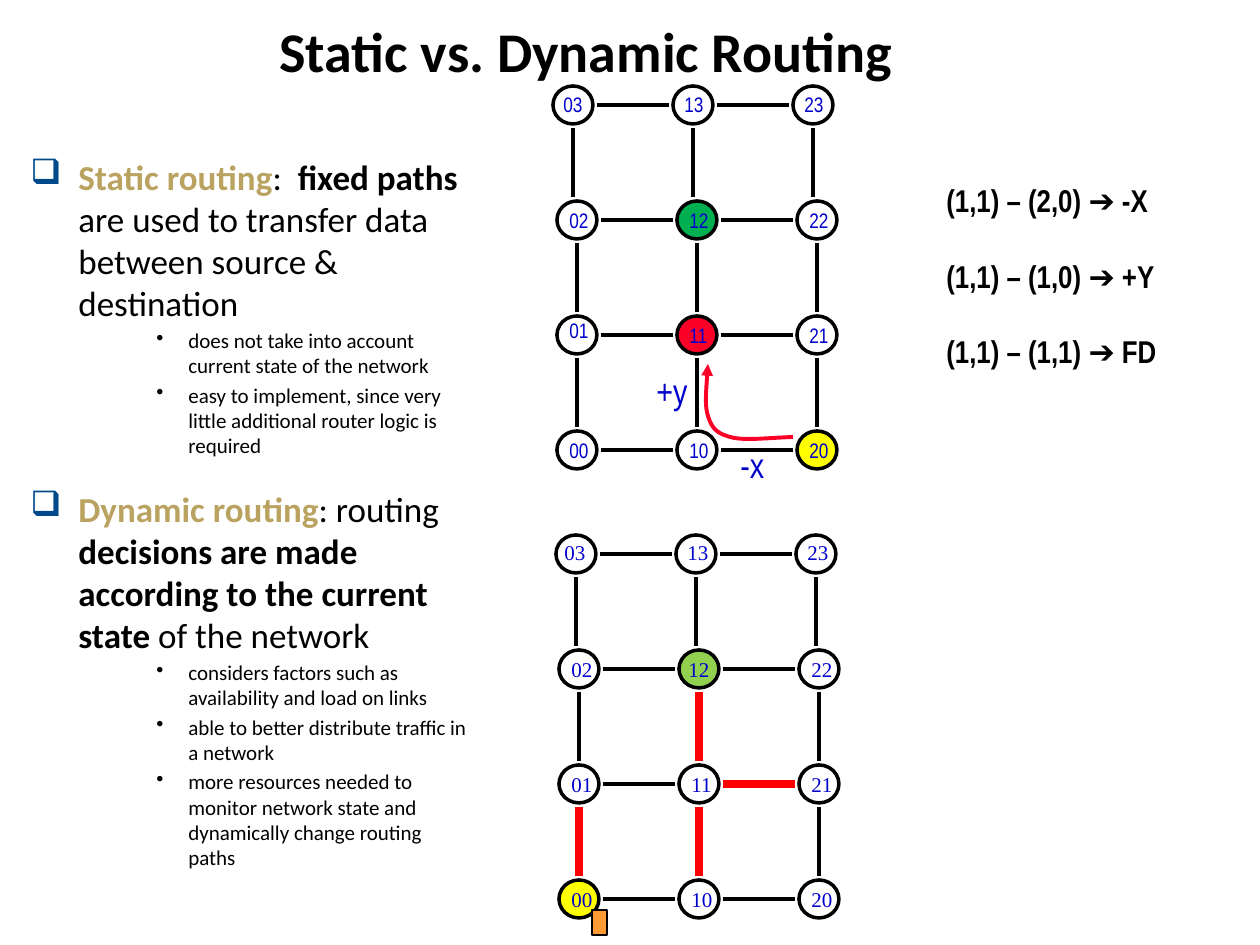
from dataclasses import dataclass
from lxml.etree import SubElement
from pptx import Presentation
from pptx.dml.color import RGBColor
from pptx.enum.shapes import MSO_CONNECTOR as Connector, MSO_SHAPE as Shape
from pptx.enum.text import MSO_AUTO_SIZE as AutoSize
from pptx.oxml.ns import qn
from pptx.util import Emu, Pt


@dataclass(frozen=True)
class Theme:
    black: str = "000000"
    white: str = "FFFFFF"
    gold: str = "BAA360"
    navy: str = "004A8C"
    blue: str = "0000CC"
    green: str = "00B050"
    lime: str = "92D050"
    crimson: str = "FC0128"
    red: str = "FF0000"
    yellow: str = "FFFF00"
    orange: str = "FF9933"
    sans: str = "Calibri"
    narrow: str = "Arial Narrow"
    serif: str = "Times New Roman"
    title: int = 32
    topic: int = 20
    answer: int = 18
    detail: int = 12


T = Theme()
PX = 914400 / 126

TITLE = "Static vs. Dynamic Routing"
TOPICS = [
    ([("Static routing", T.gold, True), (":  ", T.black, False),
      ("fixed paths ", T.black, True),
      ("are used to transfer data between source & destination", T.black, False)],
     ["does not take into account current state of the network",
      "easy to implement, since very little additional router logic is required"]),
    ([("Dynamic routing", T.gold, True), (": routing ", T.black, False),
      ("decisions are made according to the current state ", T.black, True),
      ("of the network", T.black, False)],
     ["considers factors such as availability and load on links",
      "able to better distribute traffic in a network",
      "more resources needed to monitor network state and dynamically change routing paths"]),
]
ANSWERS = ["(1,1) – (2,0) ➔ -X", "(1,1) – (1,0) ➔ +Y", "(1,1) – (1,1) ➔ FD"]
MOVES = [("-x", 728, 437, 54), ("+y", 644, 363, 63)]
MESHES = [
    dict(origin=(577, 450), top_shift=-4, font=T.narrow, label_width=49,
         fills={"12": T.green, "11": T.crimson, "20": T.yellow}, hot=[],
         nudges={"01": (0, -5), "03": (-2, -1), "13": (-1, -1), "23": (-1, -1)}),
    dict(origin=(579, 899), top_shift=-3, font=T.serif, label_width=47,
         fills={"12": T.lime, "22": T.white, "00": T.yellow},
         hot=[("11", "12"), ("11", "21"), ("00", "01"), ("10", "11")],
         nudges={"12": (-3, 0), "03": (-4, -2), "13": (-1, -2), "23": (-1, -2)}),
]
COLUMNS, ROWS = 3, 4
STEP_X, STEP_Y = 120, 115
NODE_W, NODE_H = 40, 38
GAP_X, GAP_Y = 24, 23
ROUTE_START = (793, 437)
ROUTE_CURVES = [
    ((767, 438), (743, 441), (730, 437)),
    ((716, 433), (712, 428), (708, 416)),
    ((704, 404), (707, 384), (708, 364)),
]
CURVE_STEPS = 12


def px(*values):
    return [Emu(round(value * PX)) for value in values]


def rgb(color):
    return RGBColor.from_string(color)


def style(font, face, size, color, bold=False):
    font.name, font.size, font.bold = face, Pt(size), bold
    font.color.rgb = rgb(color)


def add_text(shapes, box, lines, face, size, color, bold=False, wrap=False, gap=0):
    frame = shapes.add_textbox(*px(*box)).text_frame
    frame.word_wrap = wrap
    frame.auto_size = AutoSize.NONE if wrap else AutoSize.SHAPE_TO_FIT_TEXT
    frame.text = "\n".join(lines)
    for index, paragraph in enumerate(frame.paragraphs):
        if index and gap:
            paragraph.space_before = Pt(gap)
        for run in paragraph.runs:
            style(run.font, face, size, color, bold)


def set_bullet(paragraph, mark, color, left, hang):
    props = paragraph._p.get_or_add_pPr()
    props.set("marL", str(px(left)[0]))
    props.set("indent", str(px(-hang)[0]))
    tint = SubElement(props, qn("a:buClr"))
    SubElement(tint, qn("a:srgbClr"), val=color)
    SubElement(props, qn("a:buChar"), char=mark)


def add_topics(shapes):
    frame = shapes.add_textbox(*px(18, 149, 465, 703)).text_frame
    frame.word_wrap = True
    for index, (lead, details) in enumerate(TOPICS):
        heading = frame.add_paragraph() if index else frame.paragraphs[0]
        set_bullet(heading, "❑", T.navy, 48, 48)
        if index:
            heading.space_before = Pt(17)
        for words, color, bold in lead:
            run = heading.add_run()
            run.text = words
            style(run.font, T.sans, T.topic, color, bold)
        for detail in details:
            point = frame.add_paragraph()
            point.text = detail
            set_bullet(point, "•", T.black, 158, 32)
            point.space_before = Pt(2.4)
            style(point.runs[0].font, T.sans, T.detail, T.black)


def add_block(shapes, kind, box, fill, width):
    block = shapes.add_shape(kind, *px(*box))
    block.shadow.inherit = False
    if fill:
        block.fill.solid()
        block.fill.fore_color.rgb = rgb(fill)
    else:
        block.fill.background()
    block.line.color.rgb = rgb(T.black)
    block.line.width = Pt(width)


def add_link(shapes, start, end, hot):
    link = shapes.add_connector(Connector.STRAIGHT, *px(*start, *end))
    link.line.color.rgb = rgb(T.red if hot else T.black)
    link.line.width = Pt(5 if hot else 2)
    SubElement(link._element.spPr, qn("a:effectLst"))


def add_mesh(shapes, mesh):
    left, bottom = mesh["origin"]
    for column in range(COLUMNS):
        for row in range(ROWS):
            name = f"{column}{row}"
            x = left + column * STEP_X + (mesh["top_shift"] if row == ROWS - 1 else 0)
            y = bottom - row * STEP_Y
            if column < COLUMNS - 1:
                hot = (name, f"{column + 1}{row}") in mesh["hot"]
                add_link(shapes, (x + GAP_X, y), (x + STEP_X - GAP_X, y), hot)
            if row:
                hot = (f"{column}{row - 1}", name) in mesh["hot"]
                add_link(shapes, (x, y + GAP_Y), (x, y + STEP_Y - GAP_Y), hot)
            corner_x, corner_y = x - NODE_W // 2, y - NODE_H // 2
            add_block(shapes, Shape.OVAL, (corner_x, corner_y, NODE_W, NODE_H),
                      mesh["fills"].get(name), 2)
            dx, dy = mesh["nudges"].get(name, (0, 0))
            add_text(shapes, (corner_x + dx, corner_y + dy, mesh["label_width"], NODE_H),
                     [name], mesh["font"], T.detail, T.blue)


def curve_points(start, first, second, end):
    for step in range(1, CURVE_STEPS + 1):
        t = step / CURVE_STEPS
        weights = ((1 - t) ** 3, 3 * t * (1 - t) ** 2, 3 * t * t * (1 - t), t ** 3)
        yield tuple(px(*(sum(w * p[axis] for w, p in zip(weights, (start, first, second, end)))
                         for axis in (0, 1))))


def add_route(shapes):
    points, start = [], ROUTE_START
    for curve in ROUTE_CURVES:
        points += curve_points(start, *curve)
        start = curve[-1]
    builder = shapes.build_freeform(*px(*ROUTE_START))
    builder.add_line_segments(points, close=False)
    route = builder.convert_to_shape()
    route.shadow.inherit = False
    route.fill.background()
    route.line.color.rgb = rgb(T.crimson)
    route.line.width = Pt(2.25)
    SubElement(route.line._get_or_add_ln(), qn("a:tailEnd"), type="triangle")


def main():
    deck = Presentation()
    deck.slide_width, deck.slide_height = px(1260, 945)
    shapes = deck.slides.add_slide(deck.slide_layouts[6]).shapes
    add_text(shapes, (267, 10, 709, 145), [TITLE], T.sans, T.title, T.black, True, wrap=True)
    add_topics(shapes)
    for mesh in MESHES:
        add_mesh(shapes, mesh)
    add_route(shapes)
    for move, left, top, width in MOVES:
        add_text(shapes, (left, top, width, 54), [move], T.narrow, T.topic, T.blue)
    add_text(shapes, (934, 175, 246, 204), ANSWERS, T.narrow, T.answer, T.black, True, gap=21.5)
    add_block(shapes, Shape.RECTANGLE, (592, 910, 15, 25), T.orange, 0.75)
    deck.save("out.pptx")


if __name__ == "__main__":
    main()
